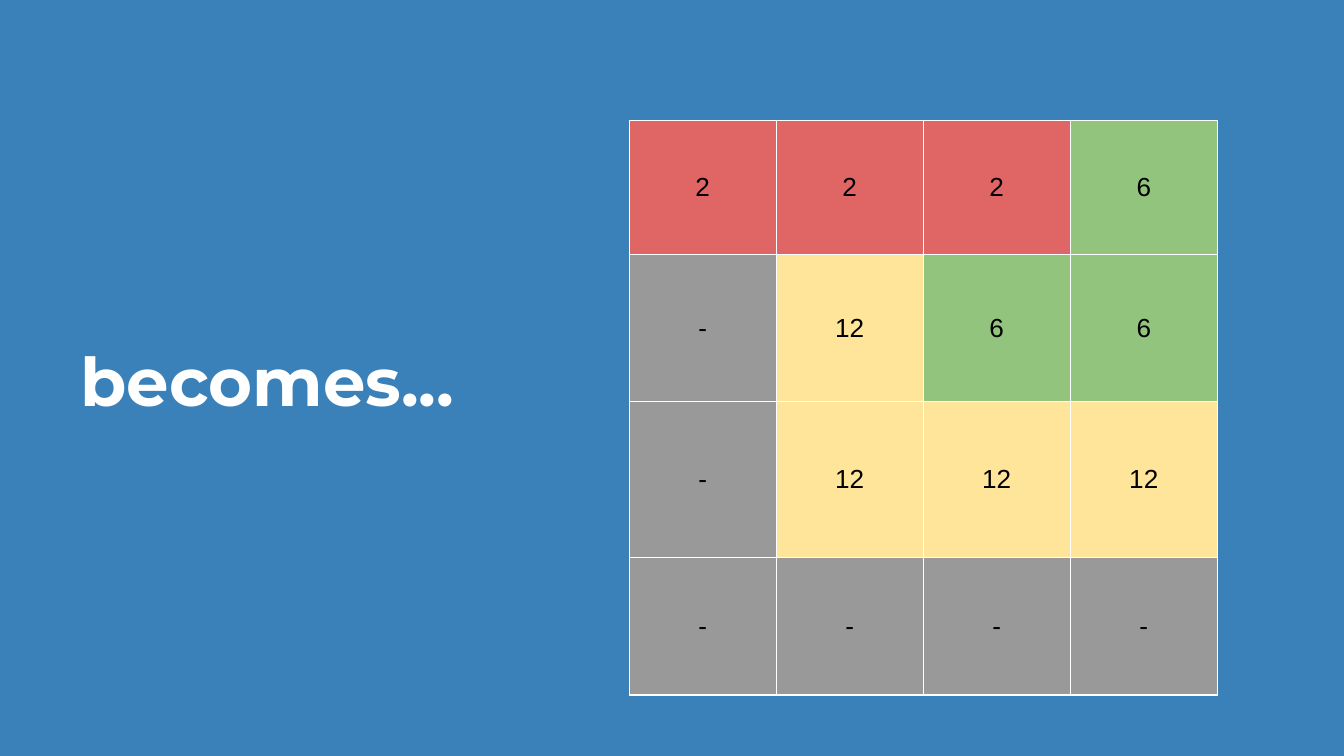
import pptx
import pptx.dml.color
import pptx.enum.text
import pptx.oxml
import pptx.oxml.ns
import pptx.util

Cm = pptx.util.Cm
Pt = pptx.util.Pt


def tint(code):
    return pptx.dml.color.RGBColor.from_string(code)


def edge(cell, color, width):
    """Draw a solid line on all four sides of a cell, before its fill is set."""
    for side in ("L", "R", "T", "B"):
        cell._tc.get_or_add_tcPr().append(pptx.oxml.parse_xml(
            f'<a:ln{side} {pptx.oxml.ns.nsdecls("a")} w="{Pt(width)}">'
            f'<a:solidFill><a:srgbClr val="{color}"/></a:solidFill></a:ln{side}>'))


deck = pptx.Presentation()
deck.slide_width = Cm(25.4)
deck.slide_height = Cm(14.29)
slide = deck.slides.add_slide(deck.slide_layouts[6])
slide.background.fill.solid()
slide.background.fill.fore_color.rgb = tint("3A81BA")

# Grid of numbers, each value with its own fill
fills = {"2": "E06666", "6": "93C47D", "12": "FFE599", "-": "999999"}
rows = [
    ["2", "2", "2", "6"],
    ["-", "12", "6", "6"],
    ["-", "12", "12", "12"],
    ["-", "-", "-", "-"],
]
heights = [2.53, 2.78, 2.95, 2.6]
width = 2.78

grid = slide.shapes.add_table(4, 4, Cm(11.89), Cm(2.28),
                              Cm(4 * width), Cm(sum(heights))).table
grid.first_row = False
grid.horz_banding = False
for col in grid.columns:
    col.width = Cm(width)

for r, row in enumerate(rows):
    grid.rows[r].height = Cm(heights[r])
    for c, value in enumerate(row):
        cell = grid.cell(r, c)
        edge(cell, "FFFFFF", 0.75)
        cell.fill.solid()
        cell.fill.fore_color.rgb = tint(fills[value])
        cell.vertical_anchor = pptx.enum.text.MSO_ANCHOR.MIDDLE
        cell.margin_left = cell.margin_right = Cm(0.25)
        cell.margin_top = cell.margin_bottom = Cm(0.25)
        para = cell.text_frame.paragraphs[0]
        para.alignment = pptx.enum.text.PP_ALIGN.CENTER
        run = para.add_run()
        run.text = value
        run.font.name = "Arial"
        run.font.size = Pt(14)
        run.font.color.rgb = tint("000000")

# Heading on the left
frame = slide.shapes.add_textbox(Cm(1.27), Cm(6.17), Cm(8.61), Cm(2.18)).text_frame
frame.word_wrap = True
frame.margin_left = frame.margin_right = Cm(0.25)
frame.margin_top = frame.margin_bottom = Cm(0.25)
run = frame.paragraphs[0].add_run()
run.text = "becomes..."
run.font.name = "Montserrat"
run.font.size = Pt(36)
run.font.bold = True
run.font.color.rgb = tint("FFFFFF")

deck.save("out.pptx")
